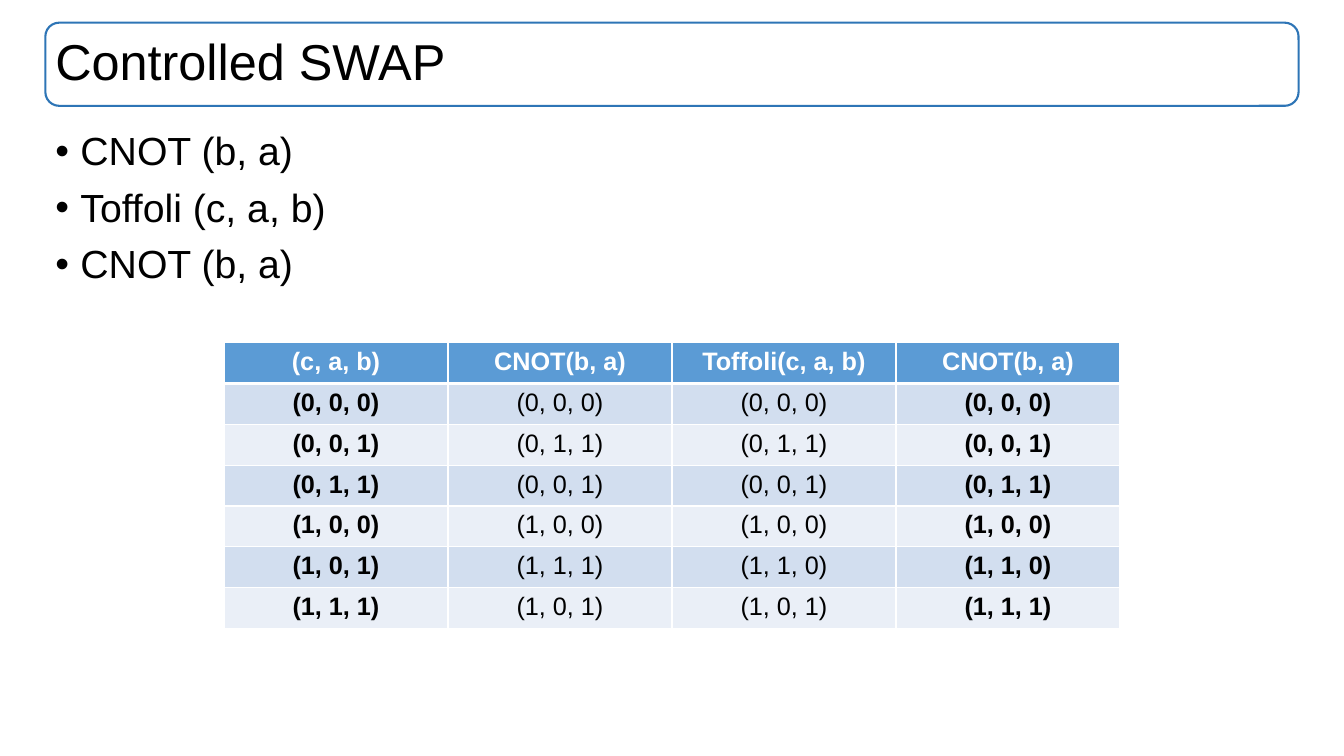
from dataclasses import dataclass

from lxml import etree
from pptx import Presentation
from pptx import util as u
from pptx.dml import color
from pptx.enum import shapes, text
from pptx.oxml import ns

WIDTH, HEIGHT = u.Inches(13.33), u.Inches(7.5)
COLUMN = WIDTH // 6
ROW = u.Inches(0.405)
MARGIN = u.Inches(0.45)
CONTENT_WIDTH = WIDTH - 2 * MARGIN


@dataclass(frozen=True)
class Theme:
    font: str = "Arial"
    ink: str = "000000"
    paper: str = "FFFFFF"
    frame: str = "2E75B6"
    header: str = "5B9BD5"
    bands: tuple = ("D2DEEF", "EAEFF7")
    title_size: int = 36
    body_size: int = 28
    table_size: int = 18


THEME = Theme()
STEPS = ["CNOT (b, a)", "Toffoli (c, a, b)", "CNOT (b, a)"]
STATES = [
    ["(c, a, b)", "CNOT(b, a)", "Toffoli(c, a, b)", "CNOT(b, a)"],
    ["(0, 0, 0)", "(0, 0, 0)", "(0, 0, 0)", "(0, 0, 0)"],
    ["(0, 0, 1)", "(0, 1, 1)", "(0, 1, 1)", "(0, 0, 1)"],
    ["(0, 1, 1)", "(0, 0, 1)", "(0, 0, 1)", "(0, 1, 1)"],
    ["(1, 0, 0)", "(1, 0, 0)", "(1, 0, 0)", "(1, 0, 0)"],
    ["(1, 0, 1)", "(1, 1, 1)", "(1, 1, 0)", "(1, 1, 0)"],
    ["(1, 1, 1)", "(1, 0, 1)", "(1, 0, 1)", "(1, 1, 1)"],
]


def rgb(value):
    return color.RGBColor.from_string(value)


def add_run(paragraph, words, size, ink=THEME.ink, bold=False):
    run = paragraph.add_run()
    run.text = words
    run.font.name = THEME.font
    run.font.size = u.Pt(size)
    run.font.bold = bold
    run.font.color.rgb = rgb(ink)


def add_text_frame(slide, top, height, anchor):
    frame = slide.shapes.add_textbox(MARGIN, top, CONTENT_WIDTH, height).text_frame
    frame.word_wrap = True
    frame.vertical_anchor = anchor
    return frame


def add_title(slide, words, top, height):
    outline = slide.shapes.add_shape(
        shapes.MSO_SHAPE.ROUNDED_RECTANGLE, MARGIN, top, CONTENT_WIDTH, height)
    outline.shadow.inherit = False
    outline.fill.background()
    outline.line.color.rgb = rgb(THEME.frame)
    outline.line.width = u.Pt(1.5)
    heading = add_text_frame(slide, top, height, text.MSO_ANCHOR.MIDDLE).paragraphs[0]
    heading.line_spacing = 0.9
    add_run(heading, words, THEME.title_size)


def add_bullets(slide, steps, top, height):
    frame = add_text_frame(slide, top, height, text.MSO_ANCHOR.TOP)
    for index, words in enumerate(steps):
        step = frame.add_paragraph() if index else frame.paragraphs[0]
        indent = step._p.get_or_add_pPr()
        indent.set("marL", str(u.Inches(0.25)))
        indent.set("indent", str(-u.Inches(0.25)))
        etree.SubElement(indent, ns.qn("a:buFont"), typeface=THEME.font)
        etree.SubElement(indent, ns.qn("a:buChar"), char="•")
        step.line_spacing = 0.9
        step.space_before = u.Pt(10 if index else 0)
        add_run(step, words, THEME.body_size)


def set_borders(cell, **widths):
    properties = cell._tc.get_or_add_tcPr()
    for side, width in widths.items():
        border = etree.SubElement(
            properties, ns.qn(f"a:ln{side}"), w=str(u.Pt(width)))
        fill = etree.SubElement(border, ns.qn("a:solidFill"))
        etree.SubElement(fill, ns.qn("a:srgbClr"), val=THEME.paper)


def add_states(slide, states, left, top):
    rows, columns = len(states), len(states[0])
    grid = slide.shapes.add_table(
        rows, columns, left, top, columns * COLUMN, rows * ROW).table
    for row, values in enumerate(states):
        is_header = row == 0
        band = THEME.header if is_header else THEME.bands[(row - 1) % 2]
        ink = THEME.paper if is_header else THEME.ink
        for column, words in enumerate(values):
            cell = grid.cell(row, column)
            set_borders(cell, L=1, R=1, T=3 if row == 1 else 1, B=3 if is_header else 1)
            cell.fill.solid()
            cell.fill.fore_color.rgb = rgb(band)
            state = cell.text_frame.paragraphs[0]
            state.alignment = text.PP_ALIGN.CENTER
            is_bold = is_header or column in (0, columns - 1)
            add_run(state, words, THEME.table_size, ink, is_bold)


def main():
    deck = Presentation()
    deck.slide_width, deck.slide_height = WIDTH, HEIGHT
    slide = deck.slides.add_slide(deck.slide_layouts[6])
    add_title(slide, "Controlled SWAP", int(HEIGHT * 0.03), int(HEIGHT * 0.11))
    add_bullets(slide, STEPS, u.Inches(1.26), HEIGHT // 4)
    add_states(slide, STATES, COLUMN, u.Inches(3.4))
    deck.save("out.pptx")


if __name__ == "__main__":
    main()
